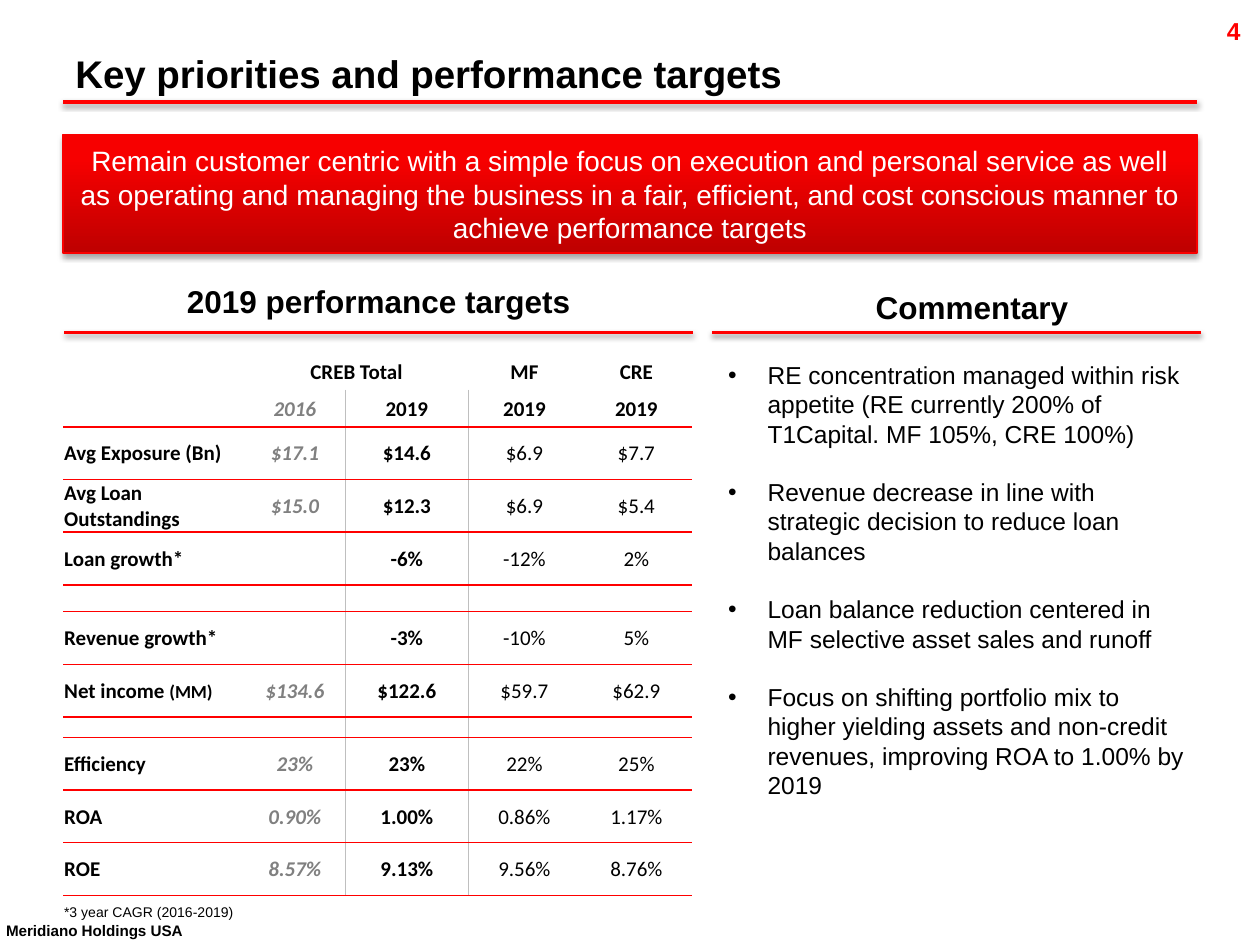
from dataclasses import dataclass

from lxml.etree import SubElement as Sub
from pptx import Presentation
from pptx.dml.color import RGBColor as Color
from pptx.enum.shapes import MSO_CONNECTOR as Link, MSO_SHAPE as Form
from pptx.enum.text import MSO_ANCHOR as Anchor, PP_ALIGN as Align
from pptx.oxml.ns import qn
from pptx.util import Pt


@dataclass(frozen=True)
class Theme:
    font: str = "Arial"
    grid: str = "Calibri"
    red: str = "FF0000"
    edge: str = "F90000"
    black: str = "000000"
    white: str = "FFFFFF"
    gray: str = "808080"
    rule: str = "BFBFBF"
    fade: tuple = ((0, "BE0000"), (80, "F70000"), (100, "F80000"))
    title: float = 22
    head: float = 18
    lead: float = 16
    foot: float = 15
    body: float = 14
    cell: float = 12
    unit: float = 10.5
    note: float = 8
    gap: float = 6


T = Theme()
PLAIN = "{2D5ABB26-0587-4C30-8999-92F81FD0307C}"
COLS = [103.7, 57.6, 70.4, 64, 64]
HEAD, ROW = 21.2, 30.1
ROWS = [
    (HEAD, ["", "CREB Total", "", "MF", "CRE"]),
    (HEAD, ["", "2016", "2019", "2019", "2019"]),
    (ROW, ["Avg Exposure (Bn)", "$17.1", "$14.6", "$6.9", "$7.7"]),
    (ROW, ["Avg Loan Outstandings", "$15.0", "$12.3", "$6.9", "$5.4"]),
    (ROW, ["Loan growth*", "", "-6%", "-12%", "2%"]),
    (15.4, [""] * 5),
    (ROW, ["Revenue growth*", "", "-3%", "-10%", "5%"]),
    (ROW, ["Net income (MM)", "$134.6", "$122.6", "$59.7", "$62.9"]),
    (11.7, [""] * 5),
    (ROW, ["Efficiency", "23%", "23%", "22%", "25%"]),
    (ROW, ["ROA", "0.90%", "1.00%", "0.86%", "1.17%"]),
    (ROW, ["ROE", "8.57%", "9.13%", "9.56%", "8.76%"]),
]
LEAD = ("Remain customer centric with a simple focus on execution and personal "
        "service as well as operating and managing the business in a fair, "
        "efficient, and cost conscious manner to achieve performance targets")
POINTS = [
    "RE concentration managed within risk appetite (RE currently 200% of "
    "T1Capital. MF 105%, CRE 100%)",
    "Revenue decrease in line with strategic decision to reduce loan balances",
    "Loan balance reduction centered in MF selective asset sales and runoff",
    "Focus on shifting portfolio mix to higher yielding assets and non-credit "
    "revenues, improving ROA to 1.00% by 2019",
]


def style(run, size, tint=T.black, bold=False, face=T.font, slant=False):
    font = run.font
    font.name, font.size = face, Pt(size)
    font.bold, font.italic = bold, slant
    font.color.rgb = Color.from_string(tint)


def paint(parent, tint):
    fill = Sub(parent, qn("a:solidFill"))
    return Sub(fill, qn("a:srgbClr"), val=tint)


def shade(shape, dist, alpha):
    list_ = Sub(shape._element.spPr, qn("a:effectLst"))
    drop = Sub(list_, qn("a:outerShdw"), blurRad=str(Pt(3.1)),
               dist=str(Pt(dist)), dir="5400000", rotWithShape="0")
    tint = Sub(drop, qn("a:srgbClr"), val=T.black)
    Sub(tint, qn("a:alpha"), val=str(alpha * 1000))


def add_rule(slide, left, right, top):
    line = slide.shapes.add_connector(
        Link.STRAIGHT, Pt(left), Pt(top), Pt(right), Pt(top))
    line.line.color.rgb = Color.from_string(T.red)
    line.line.width = Pt(2)
    shade(line, 1.6, 38)


def add_text(slide, area, text, size, tint=T.black, bold=False,
             align=Align.LEFT, anchor=Anchor.TOP):
    box = slide.shapes.add_textbox(*map(Pt, area))
    frame = box.text_frame
    frame.text = text
    frame.word_wrap, frame.vertical_anchor = True, anchor
    for par in frame.paragraphs:
        par.alignment = align
        style(par.runs[0], size, tint, bold)
    return frame


def add_lead(slide):
    box = slide.shapes.add_shape(
        Form.RECTANGLE, Pt(36), Pt(77), Pt(648), Pt(67.7))
    box.line.color.rgb = Color.from_string(T.edge)
    box.line.width = Pt(0.75)
    props = box._element.spPr
    grad = Sub(props, qn("a:gradFill"), rotWithShape="1")
    stops = Sub(grad, qn("a:gsLst"))
    for pos, tint in T.fade:
        stop = Sub(stops, qn("a:gs"), pos=str(pos * 1000))
        Sub(stop, qn("a:srgbClr"), val=tint)
    Sub(grad, qn("a:lin"), ang="16200000", scaled="0")
    props.find(qn("a:prstGeom")).addnext(grad)
    shade(box, 1.8, 35)
    frame = box.text_frame
    frame.text = LEAD
    frame.word_wrap, frame.vertical_anchor = True, Anchor.MIDDLE
    frame.paragraphs[0].alignment = Align.CENTER
    style(frame.paragraphs[0].runs[0], T.lead, T.white)


def add_list(slide):
    frame = add_text(slide, (409, 200.2, 275, 262.1), "\n".join(POINTS),
                     T.body, anchor=Anchor.MIDDLE)
    for i, par in enumerate(frame.paragraphs):
        if i:
            par.space_before = Pt(16.5)
        props = par._p.get_or_add_pPr()
        props.set("marL", str(Pt(22.5)))
        props.set("indent", str(-Pt(22.5)))
        Sub(props, qn("a:buFont"), typeface=T.font)
        Sub(props, qn("a:buChar"), char="•")


def set_edges(cell, row, col):
    edges = {}
    if row and col == 2:
        edges["L"] = T.rule
    if row and col == 1:
        edges["R"] = T.rule
    if row > 1:
        edges["T"] = T.red
    if row > 0:
        edges["B"] = T.red
    props = cell._tc.get_or_add_tcPr()
    for side, tint in edges.items():
        paint(Sub(props, qn(f"a:ln{side}"), w=str(Pt(1))), tint)


def set_cell(cell, text, row, col):
    cell.margin_left = cell.margin_right = cell.margin_top = Pt(0.72)
    cell.margin_bottom = 0
    cell.vertical_anchor = Anchor.MIDDLE
    set_edges(cell, row, col)
    cell.fill.background()
    par = cell.text_frame.paragraphs[0]
    if not text:
        Sub(par._p, qn("a:endParaRPr"), sz=str(T.gap * 100))
        return
    name, unit, _ = text.partition("(MM)")
    par.text = name
    par.alignment = Align.CENTER if col else Align.LEFT
    past = row > 0 and col == 1
    style(par.runs[0], T.cell, T.gray if past else T.black,
          row < 2 or col < 3, T.grid, past)
    if unit:
        run = par.add_run()
        run.text = unit
        style(run, T.unit, bold=True, face=T.grid)


def add_grid(slide):
    high = sum(size for size, _ in ROWS)
    table = slide.shapes.add_table(
        len(ROWS), len(COLS), Pt(36), Pt(201.6), Pt(sum(COLS)), Pt(high)).table
    table.first_row = table.horz_banding = False
    table._tbl.tblPr.find(qn("a:tableStyleId")).text = PLAIN
    for col, wide in zip(table.columns, COLS):
        col.width = Pt(wide)
    for r, (size, texts) in enumerate(ROWS):
        table.rows[r].height = Pt(size)
        for c, text in enumerate(texts):
            set_cell(table.cell(r, c), text, r, c)
    table.cell(0, 1).merge(table.cell(0, 2))


def main():
    deck = Presentation()
    deck.slide_width, deck.slide_height = Pt(720), Pt(540)
    slide = deck.slides.add_slide(deck.slide_layouts[6])
    add_text(slide, (687.6, 5.8, 28.4, 24.5), "4", T.body, T.red, True,
             Align.RIGHT)
    add_rule(slide, 36, 684, 58.3)
    foot = add_text(slide, (-3.6, 521.3, 137.5, 25.2), "Meridiano Holdings USA",
                    T.foot, bold=True, anchor=Anchor.MIDDLE)
    foot.paragraphs[0].runs[0].font._element.set("baseline", "30000")
    add_text(slide, (36, 24.5, 648, 33.8),
             "Key priorities and performance targets", T.title, bold=True,
             anchor=Anchor.BOTTOM)
    add_lead(slide)
    add_text(slide, (36.7, 157.7, 359.3, 28.8), "2019 performance targets",
             T.head, bold=True, align=Align.CENTER)
    add_rule(slide, 36.7, 396, 190.1)
    add_grid(slide)
    add_text(slide, (29.5, 511.9, 339.8, 17.3), "*3 year CAGR (2016-2019)",
             T.note, anchor=Anchor.BOTTOM)
    add_rule(slide, 406.8, 686.2, 190.1)
    add_list(slide)
    add_text(slide, (375.8, 161.3, 359.3, 28.8), "Commentary", T.head,
             bold=True, align=Align.CENTER)
    deck.save("out.pptx")


if __name__ == "__main__":
    main()
